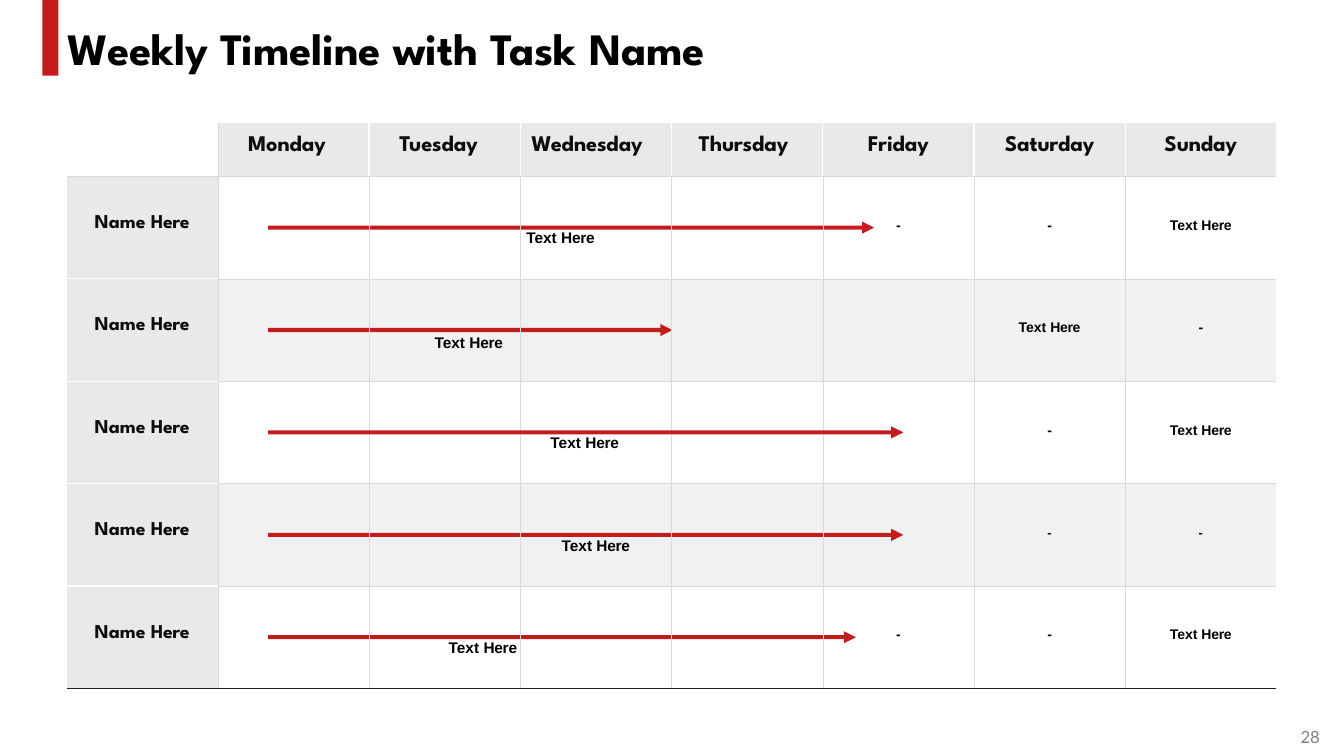
import pptx
import pptx.util
import pptx.dml.color
import pptx.enum.shapes
import pptx.enum.text
import pptx.oxml.ns
import lxml.etree

Inches, Pt = pptx.util.Inches, pptx.util.Pt
SHAPE = pptx.enum.shapes.MSO_SHAPE
CENTER = pptx.enum.text.PP_ALIGN.CENTER
LEFT = pptx.enum.text.PP_ALIGN.LEFT

RED, BLACK, INK, GREY = "C41C1C", "000000", "0D0D0D", "7E7E7E"
HEAD_FILL, BAND_FILL, RULE, WHITE, DARK = "E9E9E9", "F1F1F1", "D9D9D9", "FFFFFF", "212121"
DISPLAY = "League Spartan"

TITLE = [("Weekly Timeline with Task ", 0), ("Name", -0.2)]
NAME = [("Name ", 0), ("Here", -0.2)]
LABEL = [("Text ", 0), ("Here", -0.2)]
DASH = [("-", -0.5)]

DAYS = [("Monday", 0.3), ("Tuesday", 0.3), ("Wednesday", 0.11), ("Thursday", 0.27),
        ("Friday", None), ("Saturday", None), ("Sunday", None)]

TASKS = [
    {"end": 8.67, "label": (3, 0.06, 0.53), "notes": {5: DASH, 6: DASH, 7: LABEL}},
    {"end": 6.67, "label": (2, 0.65, 0.55), "notes": {6: LABEL, 7: DASH},
     "band": 3, "filled": (4, 5, 6, 7)},
    {"end": 8.96, "label": (3, 0.3, 0.53), "notes": {6: DASH, 7: LABEL}, "front": True},
    {"end": 8.96, "label": (3, 0.41, 0.54), "notes": {6: DASH, 7: DASH},
     "band": 5, "filled": (6, 7), "note_size": 9, "note_top": 0.42},
    {"end": 8.49, "label": (2, 0.79, 0.53), "notes": {5: DASH, 6: DASH, 7: LABEL}},
]

LEFT_EDGE, TOP, WIDTH, HEIGHT, HEAD_H = 0.66, 1.22, 12, 5.61, 0.53
COLS, ROWS = len(DAYS) + 1, len(TASKS) + 1
COL_W = WIDTH / COLS
ROW_H = (HEIGHT - HEAD_H) / len(TASKS)
ARROW_START, ARROW_H, SHAFT_H = 2.66, 0.12, 0.04


def color(value):
    return pptx.dml.color.RGBColor.from_string(value)


def write(tf, runs, size, font, ink, align=LEFT):
    p = tf.paragraphs[0]
    p.alignment = align
    for text, spacing in runs:
        r = p.add_run()
        r.text = text
        r.font.size, r.font.name, r.font.bold = Pt(size), font, True
        r.font.color.rgb = color(ink)
        if spacing:
            r.font._element.set("spc", str(round(spacing * 100)))
    return p


def add_text(s, box, runs, size, font, ink, top=0):
    tf = s.shapes.add_textbox(*map(Inches, box)).text_frame
    tf.margin_left, tf.margin_top = Inches(0.01), Inches(top)
    tf.margin_right = tf.margin_bottom = 0
    tf.word_wrap = True
    return write(tf, runs, size, font, ink)


def add_block(s, box, fill, preset=SHAPE.RECTANGLE):
    sp = s.shapes.add_shape(preset, *map(Inches, box))
    sp.shadow.inherit = False
    sp.fill.solid()
    sp.fill.fore_color.rgb = color(fill)
    sp.line.fill.background()
    return sp


def row_top(i):
    return TOP + HEAD_H + i * ROW_H


def add_arrow(s, i):
    top = row_top(i) + (ROW_H - ARROW_H) / 2
    box = (ARROW_START, top, TASKS[i]["end"] - ARROW_START, ARROW_H)
    sp = add_block(s, box, RED, SHAPE.RIGHT_ARROW)
    sp.adjustments[0] = SHAFT_H / ARROW_H
    sp.adjustments[1] = 1


def edge_styles(row, col):
    thin, white, dark = (RULE, 0.25), (WHITE, 1), (DARK, 1)
    side = white if row == 0 else thin
    left = None if col == 0 else thin if col == 1 else side
    right = None if col == COLS - 1 else thin if col == 0 else side
    level = white if col == 0 else thin
    top = None if row == 0 else thin if row == 1 else level
    bottom = dark if row == ROWS - 1 else thin if row == 0 else level
    return {"L": left, "R": right, "T": top, "B": bottom}


def style_cell(cell, row, col, fill):
    tcPr = cell._tc.get_or_add_tcPr()
    for side, style in edge_styles(row, col).items():
        ln = lxml.etree.SubElement(tcPr, pptx.oxml.ns.qn("a:ln" + side))
        if style:
            ln.set("w", str(Pt(style[1])))
            solid = lxml.etree.SubElement(ln, pptx.oxml.ns.qn("a:solidFill"))
            lxml.etree.SubElement(solid, pptx.oxml.ns.qn("a:srgbClr"), val=style[0])
        else:
            lxml.etree.SubElement(ln, pptx.oxml.ns.qn("a:noFill"))
    if fill:
        cell.fill.solid()
        cell.fill.fore_color.rgb = color(fill)
    else:
        cell.fill.background()
    cell.margin_left = cell.margin_right = cell.margin_top = cell.margin_bottom = 0


def fill_cell(cell, runs, size, font, ink, top, indent=None):
    cell.margin_top = Inches(top)
    cell.margin_left = Inches(indent or 0)
    write(cell.text_frame, runs, size, font, ink, CENTER if indent is None else LEFT)


def cell_fill(row, col):
    if row == 0 or col == 0:
        return HEAD_FILL if row or col else None
    return BAND_FILL if col in TASKS[row - 1].get("filled", ()) else None


def add_schedule(s):
    frame = s.shapes.add_table(ROWS, COLS, *map(Inches, (LEFT_EDGE, TOP, WIDTH, HEIGHT)))
    table = frame.table
    table.first_row = table.horz_banding = False
    for column in table.columns:
        column.width = Inches(COL_W)
    for i, row in enumerate(table.rows):
        row.height = Inches(ROW_H if i else HEAD_H)
        for j, cell in enumerate(row.cells):
            style_cell(cell, i, j, cell_fill(i, j))
    for j, (day, indent) in enumerate(DAYS, 1):
        fill_cell(table.cell(0, j), [(day, -0.1)], 16, DISPLAY, INK, 0.13, indent)
    for i, task in enumerate(TASKS, 1):
        fill_cell(table.cell(i, 0), NAME, 14, DISPLAY, INK, 0.38)
        col, indent, top = task["label"]
        fill_cell(table.cell(i, col), LABEL, 11, "Arial", BLACK, top, indent)
        for j, note in task["notes"].items():
            fill_cell(table.cell(i, j), note, task.get("note_size", 10), "Arial", BLACK,
                      task.get("note_top", 0.41))


def main():
    prs = pptx.Presentation()
    prs.slide_width, prs.slide_height = Inches(13.33), Inches(7.5)
    s = prs.slides.add_slide(prs.slide_layouts[6])
    add_block(s, (0.42, 0, 0.16, 0.75), RED)
    add_text(s, (0.66, 0.2, 12.01, 0.56), TITLE, 32, DISPLAY, BLACK, 0.01)
    for i, task in enumerate(TASKS):
        if "band" in task:
            add_block(s, (LEFT_EDGE + COL_W, row_top(i), task["band"] * COL_W, ROW_H), BAND_FILL)
        if not task.get("front"):
            add_arrow(s, i)
    add_schedule(s)
    for i, task in enumerate(TASKS):
        if task.get("front"):
            add_arrow(s, i)
    p = add_text(s, (12.89, 7.22, 0.22, 0.21), [("28", -0.2)], 12, "Lato", GREY)
    p.line_spacing = Pt(13.3)
    p.runs[0].font.bold = False
    prs.save("out.pptx")


if __name__ == "__main__":
    main()
